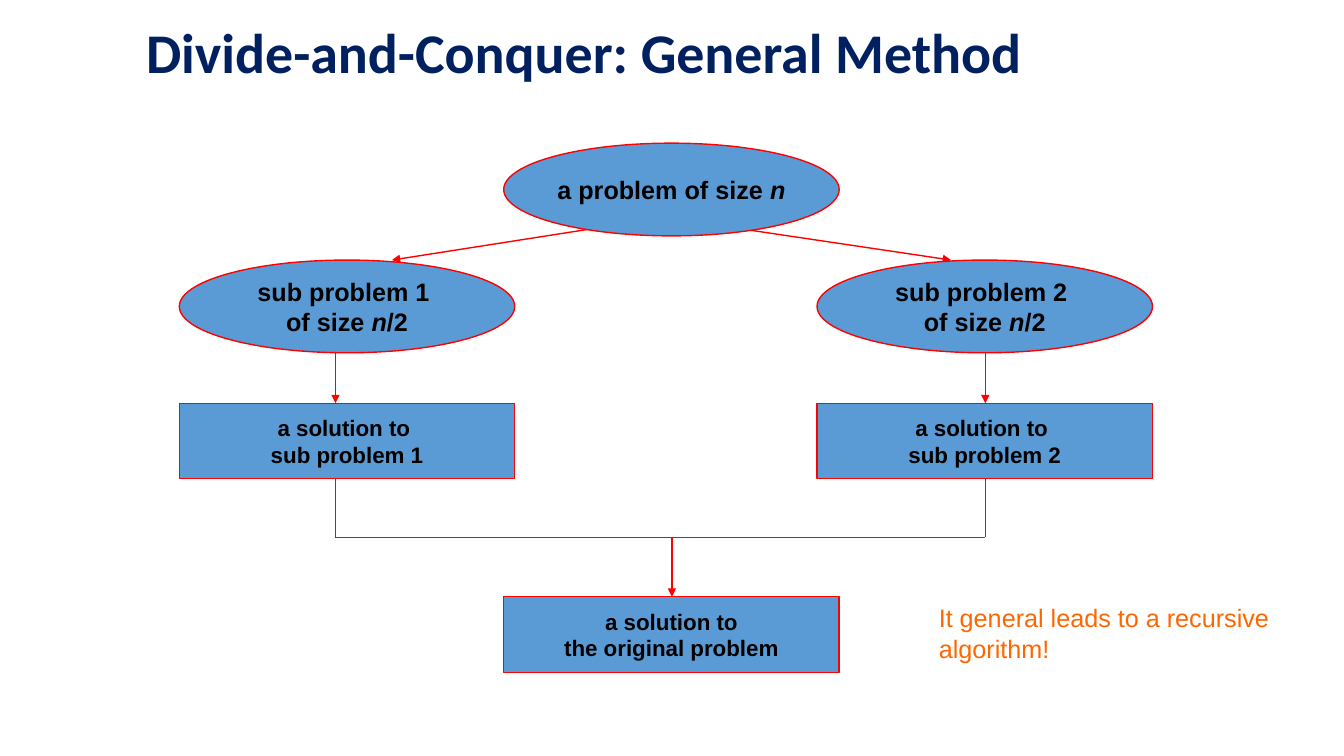
import pptx
import pptx.util
import pptx.dml.color
import pptx.enum.shapes
import pptx.enum.text
import pptx.oxml

PX = 9144  # EMU per px, 100 px to the inch
COLORS = {"title": "002060", "fill": "5B9BD5", "line": "FF0000",
          "text": "000000", "note": "FF6600"}
SHAPE = pptx.enum.shapes.MSO_SHAPE
ALIGN = pptx.enum.text.PP_ALIGN
ANCHOR = pptx.enum.text.MSO_ANCHOR

# Diagram grid
NODE_W, ELLIPSE_H, BOX_H = 333, 92, 75
LEFT_X, MID_X, RIGHT_X = 178, 500, 811
LEFT_AXIS, MID_AXIS, RIGHT_AXIS = 333, 667, 978
ROOT_Y, SUB_Y, SOLUTION_Y, JOIN_Y, RESULT_Y = 142, 258, 400, 533, 592


def px(n):
    return pptx.util.Emu(n * PX)


def rgb(name):
    return pptx.dml.color.RGBColor.from_string(COLORS[name])


def write_text(sp, lines, size=18, color="text", font="Arial", bold=True,
               align=ALIGN.CENTER, anchor=ANCHOR.MIDDLE, wrap=False,
               line_spacing=None, before=None):
    """Write one paragraph per line; parts between asterisks are italic."""
    tf = sp.text_frame
    tf.word_wrap = wrap
    tf.vertical_anchor = anchor
    for i, line in enumerate(lines):
        p = tf.add_paragraph() if i else tf.paragraphs[0]
        p.alignment = align
        if line_spacing:
            p.line_spacing = line_spacing
        if before:
            p.space_before = pptx.util.Pt(before)
        for j, part in enumerate(line.split("*")):
            if not part:
                continue
            r = p.add_run()
            r.text = part
            r.font.name = font
            r.font.size = pptx.util.Pt(size)
            r.font.bold = bold
            r.font.italic = j % 2 == 1
            r.font.color.rgb = rgb(color)


def add_label(s, x, y, w, h, lines, **fmt):
    sp = s.shapes.add_textbox(px(x), px(y), px(w), px(h))
    write_text(sp, lines, wrap=True, **fmt)


def add_node(s, kind, x, y, h, lines, **fmt):
    sp = s.shapes.add_shape(kind, px(x), px(y), px(NODE_W), px(h))
    sp.shadow.inherit = False
    sp.fill.solid()
    sp.fill.fore_color.rgb = rgb("fill")
    sp.line.color.rgb = rgb("line")
    sp.line.width = pptx.util.Pt(1)
    write_text(sp, lines, **fmt)


def add_problem(s, x, y, lines):
    add_node(s, SHAPE.OVAL, x, y, ELLIPSE_H, lines)


def add_solution(s, x, y, lines):
    add_node(s, SHAPE.RECTANGLE, x, y, BOX_H, lines, size=16)


def add_line(s, x1, y1, x2, y2, arrow=False):
    c = s.shapes.add_connector(pptx.enum.shapes.MSO_CONNECTOR.STRAIGHT,
                               px(x1), px(y1), px(x2), px(y2))
    c.line.color.rgb = rgb("line")
    c.line.width = pptx.util.Pt(1)
    if arrow:
        ns = pptx.oxml.ns.nsdecls("a")
        c.line._get_or_add_ln().append(
            pptx.oxml.parse_xml(f'<a:tailEnd {ns} type="triangle"/>'))
    c._element.spPr.append(pptx.oxml.parse_xml(
        f'<a:effectLst {pptx.oxml.ns.nsdecls("a")}/>'))


def main():
    prs = pptx.Presentation()
    prs.slide_width, prs.slide_height = px(1334), px(750)
    s = prs.slides.add_slide(prs.slide_layouts[6])

    # Title
    add_label(s, 18, 17, 1123, 75, ["Divide-and-Conquer: General Method"],
              size=40, color="title", font="Calibri", line_spacing=0.9)

    # Arrows from the problem to its halves
    add_line(s, 600, 225, 389, SUB_Y, arrow=True)
    add_line(s, 722, 225, 944, SUB_Y, arrow=True)
    add_problem(s, MID_X, ROOT_Y, ["a problem of size *n*"])

    # The two branches
    for k, x, axis in ((1, LEFT_X, LEFT_AXIS), (2, RIGHT_X, RIGHT_AXIS)):
        add_problem(s, x, SUB_Y, [f"sub problem {k} ", "of size *n*/2"])
        add_solution(s, x, SOLUTION_Y, ["a solution to ", f"sub problem {k}"])
        add_line(s, axis, SUB_Y + ELLIPSE_H, axis, SOLUTION_Y, arrow=True)
        add_line(s, axis, SOLUTION_Y + BOX_H, axis, JOIN_Y)

    # Combined solution
    add_line(s, LEFT_AXIS, JOIN_Y, RIGHT_AXIS, JOIN_Y)
    add_line(s, MID_AXIS, JOIN_Y, MID_AXIS, RESULT_Y, arrow=True)
    add_solution(s, MID_X, RESULT_Y, ["a solution to", "the original problem"])

    # Side note
    add_label(s, 922, 593, 400, 70,
              ["It general leads to a recursive algorithm!"], color="note",
              bold=False, align=ALIGN.LEFT, anchor=ANCHOR.TOP, before=11.2)

    prs.save("out.pptx")


if __name__ == "__main__":
    main()
